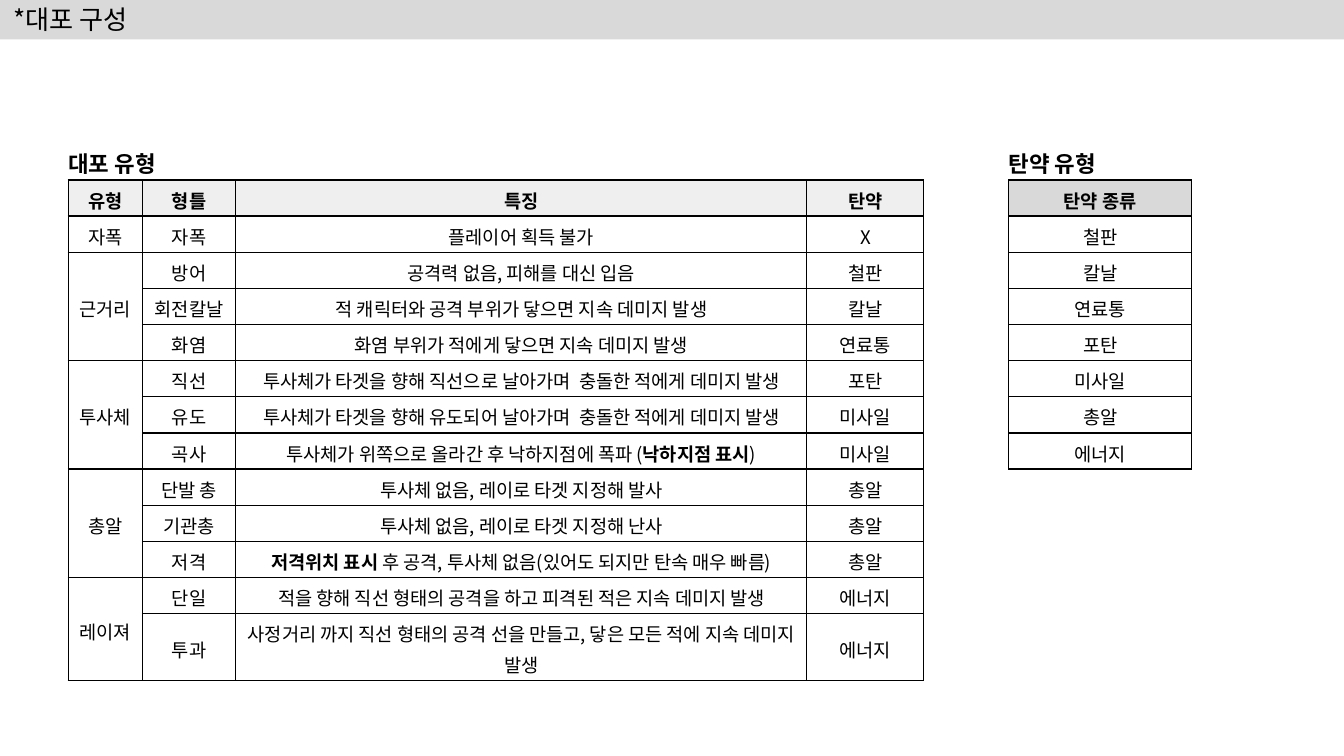
from lxml.etree import SubElement
from pptx import Presentation
from pptx.dml.color import RGBColor
from pptx.enum.shapes import MSO_SHAPE
from pptx.enum.text import MSO_ANCHOR, PP_ALIGN
from pptx.oxml import parse_xml
from pptx.oxml.ns import nsdecls, qn
from pptx.util import Pt

BLACK = RGBColor(0x00, 0x00, 0x00)
GRAY = RGBColor(0xD9, 0xD9, 0xD9)
PALE_GRAY = RGBColor(0xEF, 0xEF, 0xEF)
FONT = "Noto Sans CJK KR"
BOLD_MARK = "**"

PAGE_WIDTH, PAGE_HEIGHT = 720, 405
CANNON_LEFT, AMMO_LEFT = 36.6, 540.4
HEADING_TOP, TABLE_TOP = 78.5, 96.4
ROW_HEIGHT, TALL_ROW_HEIGHT = 18.45, 33.8

CANNON_WIDTHS = [39.7, 50, 306, 62.6]
CANNON_HEADER = ["유형", "형틀", "특징", "탄약"]
CANNON_GROUPS = [
    ("자폭", [("자폭", "플레이어 획득 불가", "X")]),
    ("근거리", [
        ("방어", "공격력 없음, 피해를 대신 입음", "철판"),
        ("회전칼날", "적 캐릭터와 공격 부위가 닿으면 지속 데미지 발생", "칼날"),
        ("화염", "화염 부위가 적에게 닿으면 지속 데미지 발생", "연료통"),
    ]),
    ("투사체", [
        ("직선", "투사체가 타겟을 향해 직선으로 날아가며  충돌한 적에게 데미지 발생", "포탄"),
        ("유도", "투사체가 타겟을 향해 유도되어 날아가며  충돌한 적에게 데미지 발생", "미사일"),
        ("곡사", "투사체가 위쪽으로 올라간 후 낙하지점에 폭파 (**낙하지점 표시**)", "미사일"),
    ]),
    ("총알", [
        ("단발 총", "투사체 없음, 레이로 타겟 지정해 발사", "총알"),
        ("기관총", "투사체 없음, 레이로 타겟 지정해 난사", "총알"),
        ("저격", "**저격위치 표시** 후 공격, 투사체 없음(있어도 되지만 탄속 매우 빠름)", "총알"),
    ]),
    ("레이져", [
        ("단일", "적을 향해 직선 형태의 공격을 하고 피격된 적은 지속 데미지 발생", "에너지"),
        ("투과", "사정거리 까지 직선 형태의 공격 선을 만들고, 닿은 모든 적에 지속 데미지 발생", "에너지"),
    ]),
]
AMMO_WIDTH = 98
AMMO_KINDS = ["철판", "칼날", "연료통", "포탄", "미사일", "총알", "에너지"]


def write_text(frame, text, size=10, bold=False, align=PP_ALIGN.LEFT, spacing=1.15):
    para = frame.paragraphs[0]
    para.alignment = align
    para.line_spacing = spacing
    for index, part in enumerate(text.split(BOLD_MARK)):
        if not part:
            continue
        span = para.add_run()
        span.text = part
        span.font.size = Pt(size)
        span.font.bold = bold or index % 2 == 1
        span.font.color.rgb = BLACK
        span.font.name = FONT
        SubElement(span.font._element, qn("a:ea")).set("typeface", FONT)


def set_margins(target, horizontal, vertical):
    target.margin_left = target.margin_right = Pt(horizontal)
    target.margin_top = target.margin_bottom = Pt(vertical)


def add_title_bar(page, text):
    bar = page.shapes.add_shape(MSO_SHAPE.RECTANGLE, Pt(0), Pt(-0.9), Pt(PAGE_WIDTH), Pt(22))
    bar.shadow.inherit = False
    bar.fill.solid()
    bar.fill.fore_color.rgb = GRAY
    bar.line.fill.background()
    frame = bar.text_frame
    frame.word_wrap = True
    frame.vertical_anchor = MSO_ANCHOR.MIDDLE
    set_margins(frame, 7.2, 0)
    write_text(frame, text, size=14, spacing=1.0)


def add_heading(page, text, left, width):
    box = page.shapes.add_textbox(Pt(left), Pt(HEADING_TOP), Pt(width), Pt(16))
    frame = box.text_frame
    frame.word_wrap = True
    set_margins(frame, 0, 0)
    write_text(frame, text, size=12, bold=True)


def add_borders(cell):
    properties = cell._tc.get_or_add_tcPr()
    for index, side in enumerate(("lnL", "lnR", "lnT", "lnB")):
        properties.insert(index, parse_xml(
            f'<a:{side} {nsdecls("a")} w="{Pt(0.75)}"><a:solidFill>'
            f'<a:srgbClr val="{BLACK}"/></a:solidFill></a:{side}>'))


def format_cell(cell, text, header_fill=None):
    cell.vertical_anchor = MSO_ANCHOR.MIDDLE
    set_margins(cell, 2, 1.4)
    if header_fill is None:
        cell.fill.background()
    else:
        cell.fill.solid()
        cell.fill.fore_color.rgb = header_fill
    add_borders(cell)
    write_text(cell.text_frame, text, bold=header_fill is not None, align=PP_ALIGN.CENTER)


def add_grid(page, rows, left, widths, heights, header_fill):
    table = page.shapes.add_table(
        len(rows), len(widths), Pt(left), Pt(TABLE_TOP),
        Pt(sum(widths)), Pt(sum(heights))).table
    table.first_row = table.horz_banding = False
    for column, width in zip(table.columns, widths):
        column.width = Pt(width)
    for row, height in zip(table.rows, heights):
        row.height = Pt(height)
    for row_index, texts in enumerate(rows):
        for column_index, text in enumerate(texts):
            format_cell(table.cell(row_index, column_index), text,
                        header_fill if row_index == 0 else None)
    return table


def add_cannon_table(page):
    rows = [CANNON_HEADER]
    for group, entries in CANNON_GROUPS:
        for index, entry in enumerate(entries):
            rows.append([group if index == 0 else "", *entry])
    heights = [ROW_HEIGHT] * (len(rows) - 1) + [TALL_ROW_HEIGHT]
    table = add_grid(page, rows, CANNON_LEFT, CANNON_WIDTHS, heights, PALE_GRAY)
    first = 1
    for group, entries in CANNON_GROUPS:
        last = first + len(entries) - 1
        if last > first:
            table.cell(first, 0).merge(table.cell(last, 0))
        first = last + 1


def add_ammo_table(page):
    rows = [[text] for text in ["탄약 종류", *AMMO_KINDS]]
    add_grid(page, rows, AMMO_LEFT, [AMMO_WIDTH], [ROW_HEIGHT] * len(rows), GRAY)


def main():
    deck = Presentation()
    deck.slide_width, deck.slide_height = Pt(PAGE_WIDTH), Pt(PAGE_HEIGHT)
    page = deck.slides.add_slide(deck.slide_layouts[6])
    add_title_bar(page, "*대포 구성")
    add_cannon_table(page)
    add_ammo_table(page)
    add_heading(page, "대포 유형", CANNON_LEFT, 201.6)
    add_heading(page, "탄약 유형", AMMO_LEFT, 126)
    deck.save("out.pptx")


if __name__ == "__main__":
    main()
